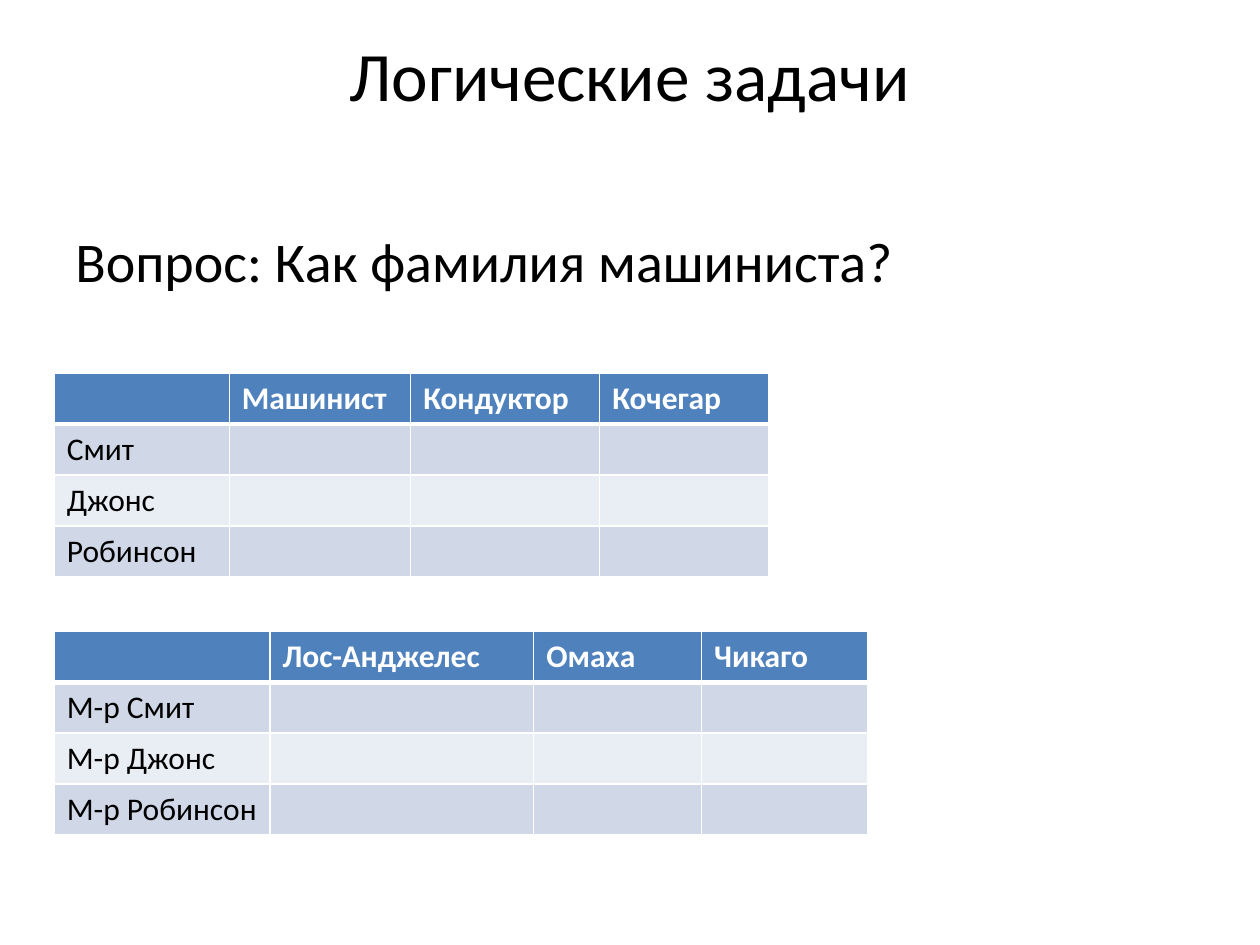
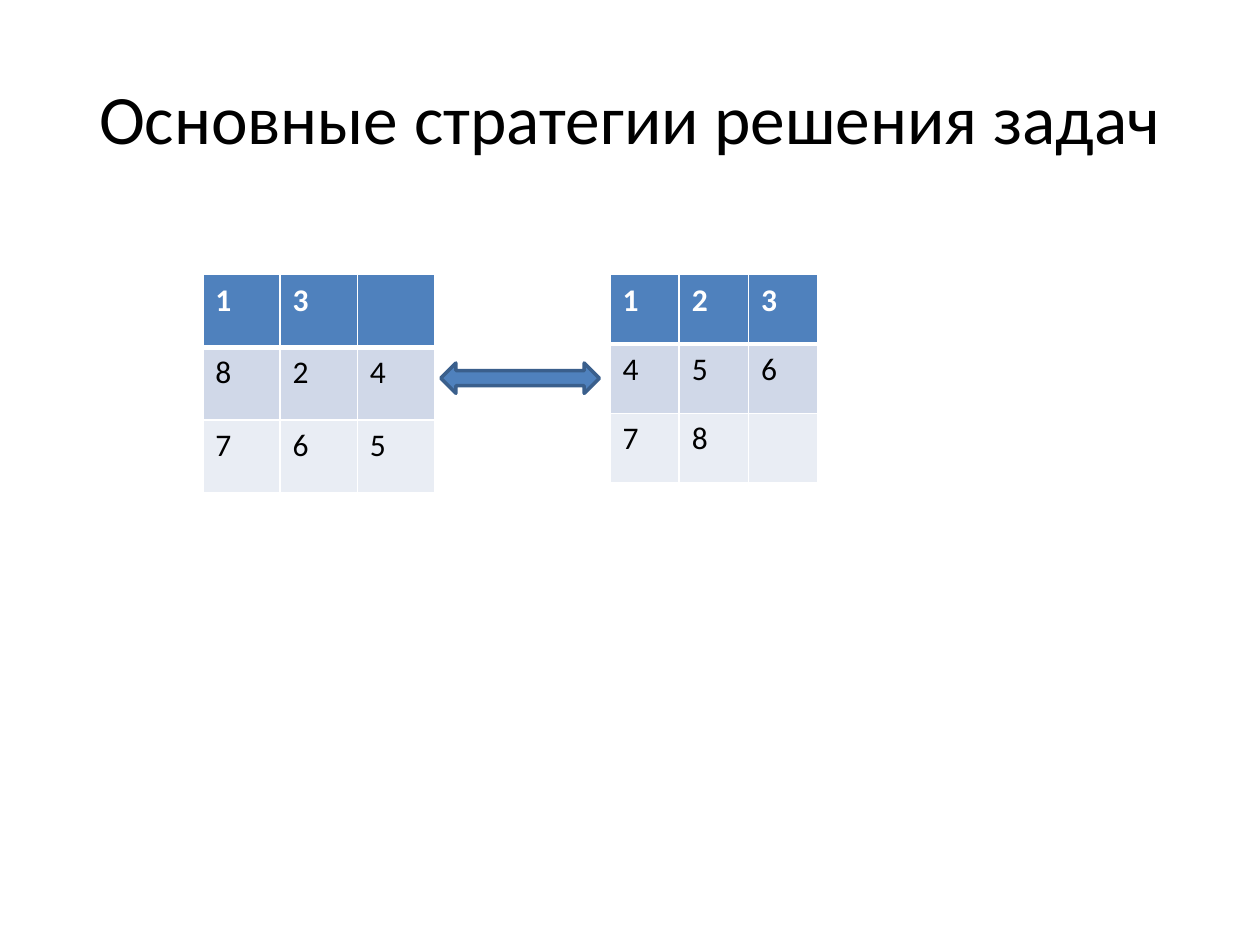
from collections import namedtuple

from lxml.etree import SubElement
from pptx import Presentation
from pptx.dml.color import RGBColor
from pptx.enum.shapes import MSO_SHAPE as Shape
from pptx.enum.text import MSO_ANCHOR as Anchor, PP_ALIGN as Align
from pptx.oxml.ns import qn
from pptx.util import Inches, Pt

# Shared style
SLIDE_WIDTH, SLIDE_HEIGHT = Inches(10), Inches(7.5)
FONT = "Calibri"
TITLE_SIZE, QUESTION_SIZE, TABLE_SIZE = 39.6, 32, 18
BLACK, WHITE = "000000", "FFFFFF"
BLUE, DARK_BLUE = "4F81BD", "3A5F8C"
BANDS = ["D0D8E8", "E9EDF4"]
THIN, THICK = Pt(1), Pt(3)

# A box holds percentages of the slide's width and height
Box = namedtuple("Box", "left top width height")
TITLE_BOX = Box(5, 4, 90, 16.67)
QUESTION_BOX = Box(5, 23.33, 90, 66)
JOBS_BOX = Box(4.3, 39.47, 56.7, 21.6)
CITIES_BOX = Box(4.3, 66.8, 64.6, 21.6)
PUZZLE_BOX = Box(16.1, 29.07, 48.8, 23.07)

# Parts of the puzzle, in percentages of its box
START_PART = Box(0, 0, 37.7, 100)
ARROW_PART = Box(38.7, 40.5, 25.8, 13.9)
GOAL_PART = Box(66.2, 0, 33.8, 95.4)

# Tiles by row; an empty text is the gap
START_TILES = [["1", "3", ""], ["8", "2", "4"], ["7", "6", "5"]]
GOAL_TILES = [["1", "2", "3"], ["4", "5", "6"], ["7", "8", ""]]

SURNAMES = ["Смит", "Джонс", "Робинсон"]


def color(hex_text):
    return RGBColor.from_string(hex_text)


def place(box):
    """Turn a box into lengths on the slide."""
    return (round(SLIDE_WIDTH * box.left / 100),
            round(SLIDE_HEIGHT * box.top / 100),
            round(SLIDE_WIDTH * box.width / 100),
            round(SLIDE_HEIGHT * box.height / 100))


def inside(box, part):
    """Turn a part of a box into a box on the slide."""
    return Box(box.left + box.width * part.left / 100,
               box.top + box.height * part.top / 100,
               box.width * part.width / 100,
               box.height * part.height / 100)


def apply(target, formats):
    for name, value in formats.items():
        setattr(target, name, value)


def fill_with(target, hex_text):
    target.fill.solid()
    target.fill.fore_color.rgb = color(hex_text)


def write(paragraph, text, size, hex_text=BLACK, bold=False):
    run = paragraph.add_run()
    run.text = text
    apply(run.font, {"size": Pt(size), "name": FONT, "bold": bold})
    run.font.color.rgb = color(hex_text)


def add_text(slide, box, text, size, frame_formats, paragraph_formats):
    frame = slide.shapes.add_textbox(*place(box)).text_frame
    apply(frame, {"word_wrap": True, **frame_formats})
    paragraph = frame.paragraphs[0]
    apply(paragraph, paragraph_formats)
    write(paragraph, text, size)


def add_title(slide, text, **frame_formats):
    formats = {"vertical_anchor": Anchor.MIDDLE, **frame_formats}
    add_text(slide, TITLE_BOX, text, TITLE_SIZE, formats, {"alignment": Align.CENTER})


def add_borders(cell, top, bottom):
    properties = cell._tc.get_or_add_tcPr()
    for side, width in {"L": THIN, "R": THIN, "T": top, "B": bottom}.items():
        line = SubElement(properties, qn(f"a:ln{side}"), w=str(width))
        line_fill = SubElement(line, qn("a:solidFill"))
        SubElement(line_fill, qn("a:srgbClr"), val=WHITE)


def style_cell(cell, text, row_index):
    """Style the first row as a header and band the rows below it."""
    is_header = row_index == 0
    # The line between the header and the first band is thick
    add_borders(cell, top=THICK if row_index == 1 else THIN,
                bottom=THICK if is_header else THIN)
    fill_with(cell, BLUE if is_header else BANDS[(row_index - 1) % len(BANDS)])
    if text:
        write(cell.text_frame.paragraphs[0], text, TABLE_SIZE,
              WHITE if is_header else BLACK, bold=is_header)


def add_banded_table(slide, box, rows, column_weights):
    left, top, width, height = place(box)
    table = slide.shapes.add_table(len(rows), len(column_weights),
                                   left, top, width, height).table
    apply(table, {"first_row": False, "horz_banding": False})
    for column, weight in zip(table.columns, column_weights):
        column.width = round(width * weight / sum(column_weights))
    for row_index, (row, texts) in enumerate(zip(table.rows, rows)):
        row.height = round(height / len(rows))
        for cell, text in zip(row.cells, texts):
            style_cell(cell, text, row_index)


def add_answer_table(slide, box, headings, names, column_weights):
    """Add a table with names at the left and empty cells for answers."""
    header = ["", *headings]
    answer_rows = [[name] + [""] * len(headings) for name in names]
    add_banded_table(slide, box, [header, *answer_rows], column_weights)


def add_double_arrow(slide, box):
    arrow = slide.shapes.add_shape(Shape.LEFT_RIGHT_ARROW, *place(box))
    arrow.shadow.inherit = False
    fill_with(arrow, BLUE)
    arrow.line.color.rgb = color(DARK_BLUE)
    arrow.line.width = Pt(2)


def add_tile_puzzle(slide, box):
    for part, tiles in [(START_PART, START_TILES), (GOAL_PART, GOAL_TILES)]:
        equal_columns = [1] * len(tiles[0])
        add_banded_table(slide, inside(box, part), tiles, equal_columns)
    add_double_arrow(slide, inside(box, ARROW_PART))


def build_logic_slide(slide):
    # The title sits at the top of its box
    add_title(slide, "Логические задачи",
              vertical_anchor=Anchor.TOP, margin_top=Inches(-0.04))
    add_text(slide, QUESTION_BOX, "Вопрос: Как фамилия машиниста?", QUESTION_SIZE,
             {"vertical_anchor": Anchor.TOP},
             {"space_before": Pt(0.2 * QUESTION_SIZE)})
    # Who does which job, and who lives where
    add_answer_table(slide, JOBS_BOX, ["Машинист", "Кондуктор", "Кочегар"],
                     SURNAMES, [1.39, 1.44, 1.5, 1.34])
    add_answer_table(slide, CITIES_BOX, ["Лос-Анджелес", "Омаха", "Чикаго"],
                     [f"М-р {surname}" for surname in SURNAMES],
                     [1.71, 2.09, 1.33, 1.32])


def build_strategy_slide(slide):
    add_title(slide, "Основные стратегии решения задач")
    add_tile_puzzle(slide, PUZZLE_BOX)


def main():
    presentation = Presentation()
    apply(presentation, {"slide_width": SLIDE_WIDTH, "slide_height": SLIDE_HEIGHT})
    blank_layout = presentation.slide_layouts[6]
    for build_slide in (build_logic_slide, build_strategy_slide):
        build_slide(presentation.slides.add_slide(blank_layout))
    presentation.save("out.pptx")


if __name__ == "__main__":
    main()
